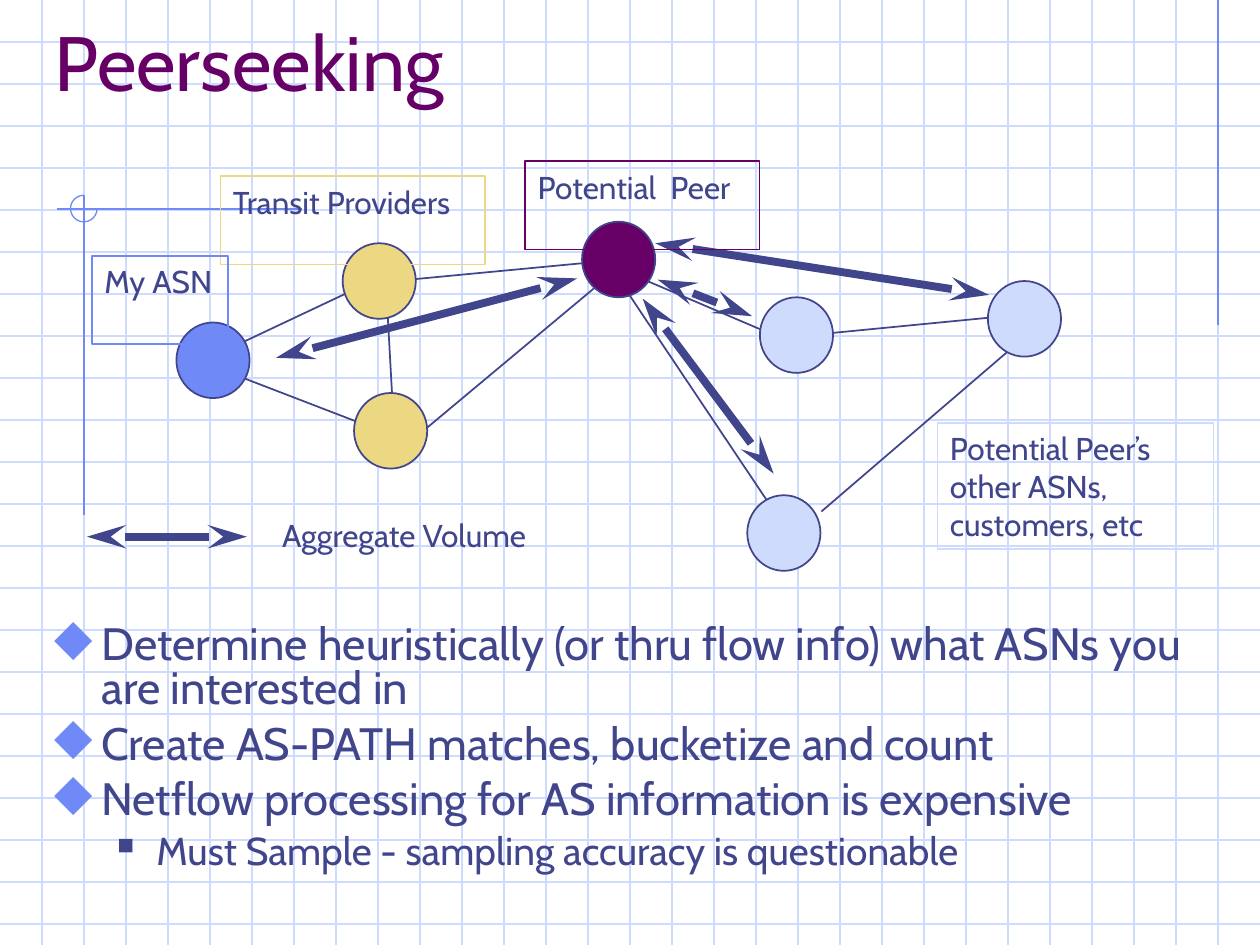
from lxml.etree import SubElement
from pptx import Presentation
from pptx.dml.color import RGBColor
from pptx.enum.shapes import MSO_CONNECTOR as Connector, MSO_SHAPE as Preset
from pptx.enum.text import MSO_ANCHOR as Anchor, PP_ALIGN as Align
from pptx.oxml.ns import qn
from pptx.util import Pt

INK, PLUM, GOLD, BLUE, PALE = "40458C", "660066", "ECD882", "6F89F7", "CFDBFD"
FONT = "Cabin"
WIDTH, HEIGHT, GRID_STEP = 720, 540, 24
NODE_WIDTH, NODE_HEIGHT = 41.8, 43.2

NODES = [
    (427, 283, PALE), (195.8, 139, GOLD), (332.6, 126.7, PLUM),
    (564.5, 160.6, PALE), (434.2, 169.9, PALE), (100.8, 184.3, BLUE),
    (202.3, 224.6, GOLD),
]
LINKS = [
    (237.6, 249.8, 355.7, 151.2), (469.4, 292.3, 576.7, 200.2),
    (463, 191.5, 581, 180), (346.3, 150.5, 455.8, 197.3),
    (218.2, 161.3, 347.8, 149), (345.6, 147.6, 443.5, 293.8),
    (221, 169.9, 225.4, 249.8), (127.4, 200.9, 216, 159.1),
    (126, 211, 210.2, 243.4),
]
VOLUMES = [
    (565.2, 168.5, 374.4, 139), (429.8, 180.7, 375.8, 159.8),
    (329.8, 159.1, 157.7, 204.5), (442.1, 270.7, 367.2, 170.6),
    (141.1, 306.7, 49.7, 306.7),
]
LABELS = [
    ("Potential  Peer", (300.2, 92.2, 133.9, 50.4), PLUM),
    ("Transit Providers", (126, 100.8, 151.2, 50.4), GOLD),
    ("Potential Peer’s other ASNs, customers, etc", (535.7, 241.9, 157.7, 72), PALE),
    ("My ASN", (52.6, 146.2, 77.8, 50.4), BLUE),
]
POINTS = [
    ("Determine heuristically (or thru flow info) what ASNs you are interested in", 0),
    ("Create AS-PATH matches, bucketize and count", 0),
    ("Netflow processing for AS information is expensive", 0),
    ("Must Sample - sampling accuracy is questionable", 1),
]
LEVELS = [
    dict(size=25.9, margin=27, hang=27, before=7, mark="◆", mark_color=BLUE, percent=110),
    dict(size=22.2, margin=58.5, hang=22.5, before=6, mark="■", mark_color=INK, percent=60),
]


def rgb(color):
    """Turn a hex string into a colour."""
    return RGBColor.from_string(color)


def add_line(slide, ends, color, weight):
    """Draw a straight line between two points, without shadow."""
    line = slide.shapes.add_connector(Connector.STRAIGHT, *map(Pt, ends))
    line.line.color.rgb = rgb(color)
    line.line.width = Pt(weight)
    SubElement(line._element.spPr, qn("a:effectLst"))
    return line


def add_volume(slide, ends):
    """Draw a thick arrow with a head at both ends."""
    outline = add_line(slide, ends, INK, 4.5).line._get_or_add_ln()
    for end in ("a:headEnd", "a:tailEnd"):
        SubElement(outline, qn(end), type="stealth", w="med", len="lg")


def add_outline(slide, preset, box, color, weight, fill=None):
    """Draw a preset shape, filled only when a fill is given."""
    shape = slide.shapes.add_shape(preset, *map(Pt, box))
    shape.shadow.inherit = False
    shape.line.color.rgb = rgb(color)
    shape.line.width = Pt(weight)
    if fill:
        shape.fill.solid()
        shape.fill.fore_color.rgb = rgb(fill)
    else:
        shape.fill.background()
    return shape


def style_paragraph(paragraph, size, color):
    """Align a paragraph left and format its runs."""
    paragraph.alignment = Align.LEFT
    for run in paragraph.runs:
        run.font.name = FONT
        run.font.size = Pt(size)
        run.font.color.rgb = rgb(color)


def write(shape, text, size, color, anchor=Anchor.TOP):
    """Put one wrapped paragraph into a shape."""
    frame = shape.text_frame
    frame.text = text
    frame.word_wrap = True
    frame.vertical_anchor = anchor
    style_paragraph(frame.paragraphs[0], size, color)


def add_text(slide, box, text, size, color, anchor=Anchor.TOP):
    """Add a plain text box."""
    write(slide.shapes.add_textbox(*map(Pt, box)), text, size, color, anchor)


def add_bullets(slide, box, points):
    """Add the two-level bullet list."""
    frame = slide.shapes.add_textbox(*map(Pt, box)).text_frame
    frame.word_wrap = True
    for index, (text, depth) in enumerate(points):
        level = LEVELS[depth]
        paragraph = frame.add_paragraph() if index else frame.paragraphs[0]
        paragraph.text = text
        paragraph.level = depth
        paragraph.line_spacing = 0.8
        paragraph.space_before = Pt(level["before"])
        style_paragraph(paragraph, level["size"], INK)
        properties = paragraph._p.get_or_add_pPr()
        properties.set("marL", str(Pt(level["margin"])))
        properties.set("indent", str(-Pt(level["hang"])))
        mark_color = SubElement(properties, qn("a:buClr"))
        SubElement(mark_color, qn("a:srgbClr"), val=level["mark_color"])
        SubElement(properties, qn("a:buSzPct"), val=str(level["percent"] * 1000))
        SubElement(properties, qn("a:buChar"), char=level["mark"])


def add_backdrop(slide):
    """Draw the graph paper and its blue accents."""
    for y in range(GRID_STEP, HEIGHT, GRID_STEP):
        add_line(slide, (0, y, WIDTH, y), PALE, 0.75)
    for x in range(GRID_STEP, WIDTH, GRID_STEP):
        add_line(slide, (x, 0, x, HEIGHT), PALE, 0.75)
    for ends in [(696, 0, 696, 186), (172.8, 119.5, 32.4, 119.5), (48, 111.6, 48, 294.5)]:
        add_line(slide, ends, BLUE, 0.75)
    ring = add_outline(slide, Preset.ARC, (40.3, 111.6, 15.2, 15.2), BLUE, 0.75)
    ring.adjustments[0] = 0
    ring.adjustments[1] = 162


def add_network(slide):
    """Draw the peering diagram with its labels."""
    for ends in LINKS:
        add_line(slide, ends, INK, 1)
    for left, top, fill in NODES:
        add_outline(slide, Preset.OVAL, (left, top, NODE_WIDTH, NODE_HEIGHT), INK, 1, fill)
    for ends in VOLUMES:
        add_volume(slide, ends)
    for text, box, color in LABELS:
        write(add_outline(slide, Preset.RECTANGLE, box, color, 1), text, 18, INK)
    add_text(slide, (154.1, 291.6, 172.1, 50.4), "Aggregate Volume", 18, INK)


def main():
    """Build and save the slide."""
    deck = Presentation()
    deck.slide_width, deck.slide_height = Pt(WIDTH), Pt(HEIGHT)
    slide = deck.slides.add_slide(deck.slide_layouts[6])
    add_backdrop(slide)
    add_text(slide, (23.8, 5, 672.5, 59.8), "Peerseeking", 44, PLUM, Anchor.BOTTOM)
    add_bullets(slide, (23.8, 354.2, 687.6, 169.9), POINTS)
    add_network(slide)
    deck.save("out.pptx")


if __name__ == "__main__":
    main()
